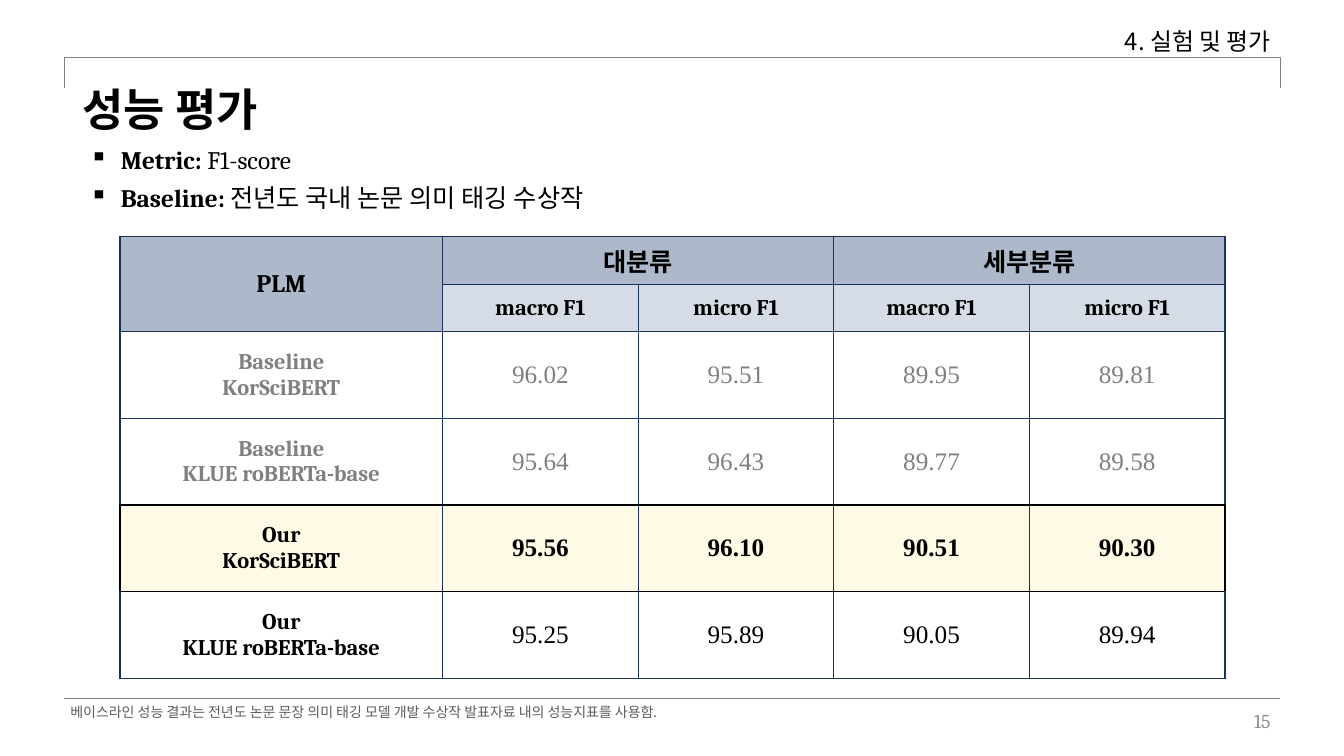
from lxml import etree
from pptx import Presentation
from pptx import util as u
from pptx.dml.color import RGBColor
from pptx.enum import shapes, text
from pptx.oxml import ns

INK = {
    "black": "000000", "navy": "1A335C", "gray": "808080", "pale": "8C8C8C",
    "note": "5C5C5C", "head": "ADB9CA", "sub": "D6DCE5", "gold": "FFD700",
}
SERIF, SANS, TIMES = "Cambria", "Noto Sans CJK KR", "Times New Roman"
LEFT, MID, RIGHT = text.PP_ALIGN.LEFT, text.PP_ALIGN.CENTER, text.PP_ALIGN.RIGHT
BEST = 4  # table row that is highlighted
ROWS = [
    ("Baseline\nKorSciBERT", "96.02", "95.51", "89.95", "89.81"),
    ("Baseline\nKLUE roBERTa-base", "95.64", "96.43", "89.77", "89.58"),
    ("Our\nKorSciBERT", "95.56", "96.10", "90.51", "90.30"),
    ("Our\nKLUE roBERTa-base", "95.25", "95.89", "90.05", "89.94"),
]


def color(name):
    return RGBColor.from_string(INK[name])


def style(font, face, size, ink="black", bold=False):
    """Set a font, with the sans face for Hangul."""
    font.size, font.bold, font.name = u.Pt(size), bold, face
    font.color.rgb = color(ink)
    etree.SubElement(font._element, ns.qn("a:ea"), typeface=SANS)


def add_box(slide, left, top, width, height):
    box = slide.shapes.add_textbox(*map(u.Inches, (left, top, width, height)))
    frame = box.text_frame
    frame.word_wrap = True
    return frame


def add_label(slide, place, words, face, size, ink="black", bold=False, align=LEFT):
    frame = add_box(slide, *place)
    para = frame.paragraphs[0]
    para.text, para.alignment = words, align
    style(para.font, face, size, ink, bold)
    return frame


def add_bullet(para, head, body, face):
    para.space_after = u.Pt(6)
    for words, font, bold in ((head, SERIF, True), (body, face, False)):
        run = para.add_run()
        run.text = words
        style(run.font, font, 18, bold=bold)
    props = para._p.get_or_add_pPr()
    props.set("marL", str(u.Inches(0.31)))
    props.set("indent", str(u.Inches(-0.31)))
    etree.SubElement(props, ns.qn("a:buChar"), char="▪")


def add_rules(slide):
    """Draw the bracket under the header and the line above the footer."""
    mark = slide.shapes.add_shape(
        shapes.MSO_SHAPE.RIGHT_BRACKET,
        *map(u.Inches, (6.52, -5.31, 0.3, 12.06)))
    mark.rotation = 270
    mark.adjustments[0] = 0
    mark.shadow.inherit = False
    mark.fill.background()
    rule = slide.shapes.add_connector(
        shapes.MSO_CONNECTOR.STRAIGHT,
        *map(u.Inches, (0.63, 6.93, 12.7, 6.93)))
    for item in (mark, rule):
        item.line.color.rgb = color("gray")
        item.line.width = u.Pt(1)
    etree.SubElement(rule._element.spPr, ns.qn("a:effectLst"))


def add_edges(cell, row, col):
    """Border a cell in navy, with black around the highlighted row."""
    dark = {
        "L": row == BEST and col == 0,
        "R": row == BEST and col == 4,
        "T": row in (BEST, BEST + 1),
        "B": row in (BEST - 1, BEST),
    }
    props = cell._tc.get_or_add_tcPr()
    for side, black in dark.items():
        edge = etree.SubElement(props, ns.qn(f"a:ln{side}"), w=str(u.Pt(1)))
        fill = etree.SubElement(edge, ns.qn("a:solidFill"))
        etree.SubElement(fill, ns.qn("a:srgbClr"),
                         val=INK["black" if black else "navy"])


def paint(cell, ink, alpha=None):
    if ink is None:
        cell.fill.background()
        return
    cell.fill.solid()
    cell.fill.fore_color.rgb = color(ink)
    if alpha:
        tint = cell._tc.tcPr.find(ns.qn("a:solidFill"))[0]
        etree.SubElement(tint, ns.qn("a:alpha"), val=str(alpha * 1000))


def write(cell, words, face, size, ink="black", bold=True):
    cell.vertical_anchor = text.MSO_ANCHOR.MIDDLE
    cell.text_frame.text = words
    for para in cell.text_frame.paragraphs:
        para.alignment = MID
        style(para.font, face, size, ink, bold)


def add_scores(slide):
    frame = slide.shapes.add_table(
        6, 5, *map(u.Inches, (1.19, 2.35, 10.95, 4.37)))
    table = frame.table
    table.first_row = table.horz_banding = False
    for col, width in zip(table.columns, [3.2] + [1.94] * 4):
        col.width = u.Inches(width)
    for row, height in zip(table.rows, [0.47] * 2 + [0.86] * 4):
        row.height = u.Inches(height)

    for row in range(6):
        for col in range(5):
            cell = table.cell(row, col)
            add_edges(cell, row, col)
            if row < 2:
                paint(cell, "sub" if row and col else "head")
            elif row == BEST:
                paint(cell, "gold", 10)
            else:
                paint(cell, None)

    table.cell(0, 0).merge(table.cell(1, 0))
    write(table.cell(0, 0), "PLM", SERIF, 18)
    for col, words in ((1, "대분류"), (3, "세부분류")):
        table.cell(0, col).merge(table.cell(0, col + 1))
        write(table.cell(0, col), words, SERIF, 18)
        write(table.cell(1, col), "macro F1", SERIF, 16)
        write(table.cell(1, col + 1), "micro F1", SERIF, 16)
    for row, (name, *scores) in enumerate(ROWS, 2):
        ink = "gray" if row < BEST else "black"
        write(table.cell(row, 0), name, SERIF, 16, ink)
        for col, score in enumerate(scores, 1):
            write(table.cell(row, col), score, TIMES, 18, ink, row == BEST)


def main():
    deck = Presentation()
    deck.slide_width, deck.slide_height = u.Inches(13.33), u.Inches(7.5)
    slide = deck.slides.add_slide(deck.slide_layouts[6])

    page = add_label(slide, (9.7, 6.95, 3, 0.4), "15", SERIF, 14, "pale", align=RIGHT)
    page.vertical_anchor = text.MSO_ANCHOR.MIDDLE
    points = add_box(slide, 0.79, 1.38, 11.6, 0.79)
    add_bullet(points.paragraphs[0], "Metric: ", "F1-score", SERIF)
    add_bullet(points.add_paragraph(), "Baseline: ",
               "전년도 국내 논문 의미 태깅 수상작", TIMES)
    add_scores(slide)
    add_rules(slide)
    add_label(slide, (0.72, 0.76, 6.63, 0.62), "성능 평가", SANS, 32, bold=True)
    add_label(slide, (8.17, 0.22, 4.53, 0.39), "4. 실험 및 평가", SANS, 17, align=RIGHT)
    add_label(slide, (0.6, 6.93, 7.46, 0.27),
              "베이스라인 성능 결과는 전년도 논문 문장 의미 태깅 모델 개발 수상작 "
              "발표자료 내의 성능지표를 사용함.", SANS, 10, "note")
    deck.save("out.pptx")


if __name__ == "__main__":
    main()
